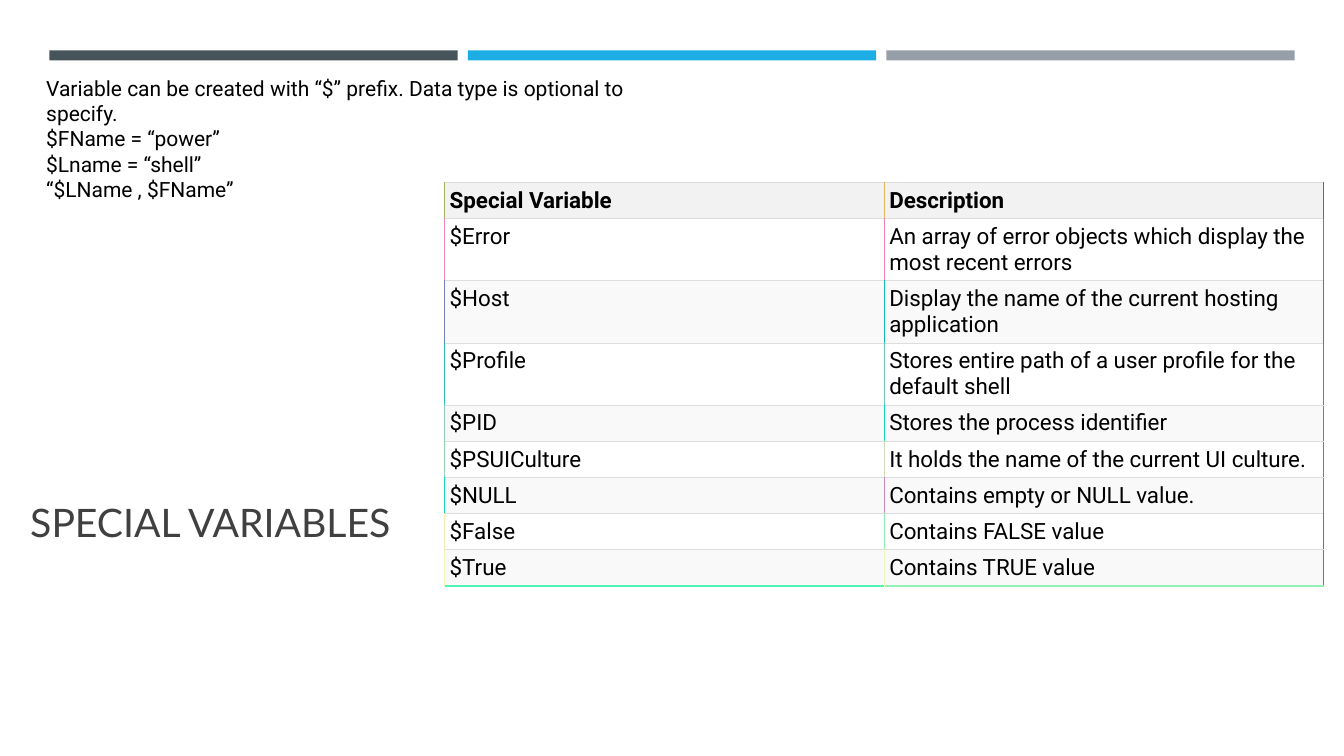
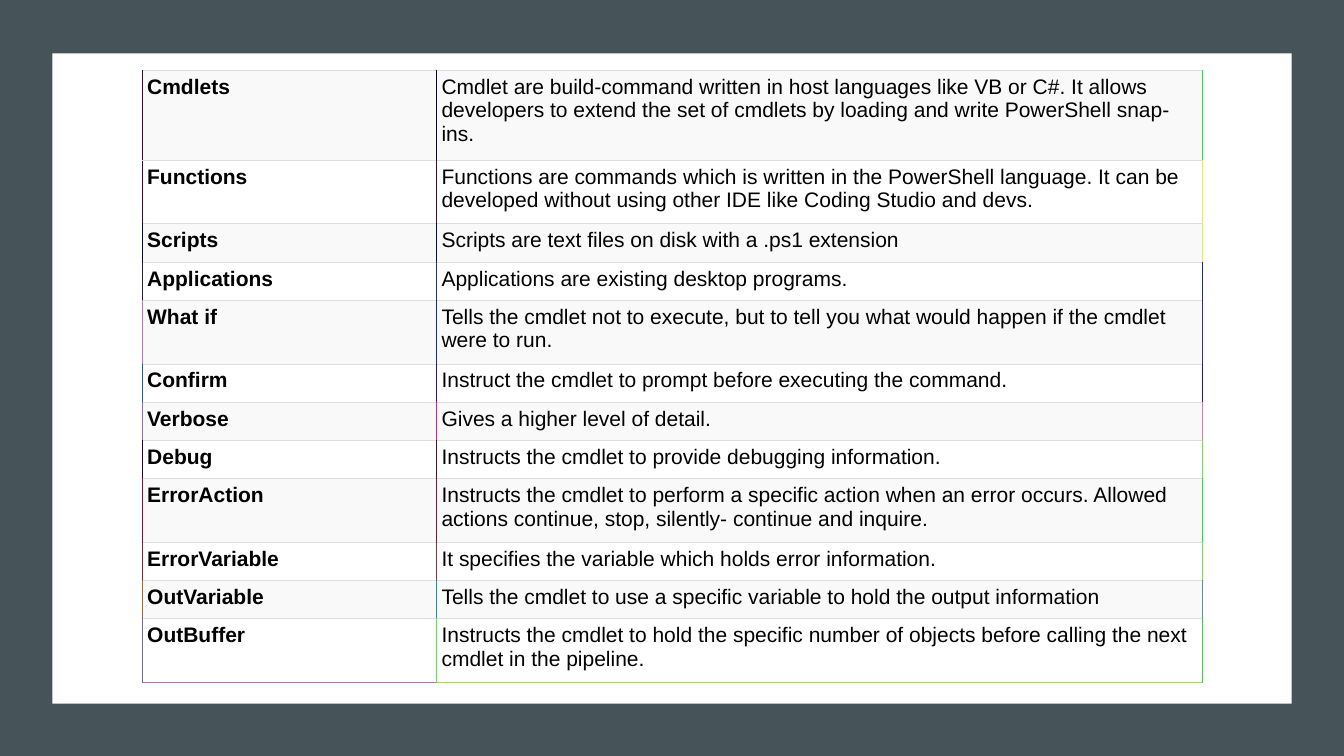
from dataclasses import dataclass

from lxml import etree
from pptx import Presentation
from pptx.dml.color import RGBColor
from pptx.enum.shapes import MSO_SHAPE
from pptx.enum.text import MSO_ANCHOR, MSO_AUTO_SIZE, PP_ALIGN
from pptx.oxml.ns import qn
from pptx.util import Inches, Pt

RECT = MSO_SHAPE.RECTANGLE
BOTTOM = MSO_ANCHOR.BOTTOM
LEFT = PP_ALIGN.LEFT
FIT_SHAPE = MSO_AUTO_SIZE.SHAPE_TO_FIT_TEXT
TITLE_ONLY, BLANK = 5, 6


@dataclass(frozen=True)
class Theme:
    slate: str = "465359"
    blue: str = "1CADE4"
    grey: str = "969FA7"
    white: str = "FFFFFF"
    text: str = "000000"
    title: str = "404040"
    header: str = "F2F2F2"
    band: str = "F9F9F9"
    rule: str = "DDDDDD"
    title_font: str = "Lato"
    code_font: str = "Roboto"
    table_font: str = "Arial"
    title_size: int = 28
    large_size: int = 16
    body_size: int = 15
    thin: float = 0.5
    thick: float = 1


THEME = Theme()

INTRO = [
    "Variable can be created with “$” prefix. Data type is optional to specify.",
    "$FName = “power”",
    "$Lname = “shell”",
    "“$LName , $FName”",
]

# Rows: name, description, then the colours of the left, middle and right edges
VARIABLES = [
    ("Special Variable", "Description", "A0B25C", "E0B75C", "3079B5"),
    ("$Error", "An array of error objects which display the most recent errors",
     "F084B5", "F07FB5", "5087B5"),
    ("$Host", "Display the name of the current hosting application",
     "7082B5", "10BBB5", "3087B5"),
    ("$Profile", "Stores entire path of a user profile for the default shell",
     "30C1B5", "70CDB5", "5087B5"),
    ("$PID", "Stores the process identifier", "90C9B5", "10D3B5", "5087B5"),
    ("$PSUICulture", "It holds the name of the current UI culture.",
     "90D3B5", "D0DAB5", "5087B5"),
    ("$NULL", "Contains empty or NULL value.", "10D9B5", "D08BB5", "5087B5"),
    ("$False", "Contains FALSE value", "F0EAB5", "90EBB5", "3088B5"),
    ("$True", "Contains TRUE value", "F0F4B5", "F0F4B5", "3088B5"),
]

COMMANDS = [
    ("Cmdlets", "Cmdlet are build-command written in host languages like VB or C#. "
     "It allows developers to extend the set of cmdlets by loading and write "
     "PowerShell snap-ins.", "400632", "000532", "00FA31"),
    ("Functions", "Functions are commands which is written in the PowerShell language. "
     "It can be developed without using other IDE like Coding Studio and devs.",
     "400632", "400632", "E0FA31"),
    ("Scripts", "Scripts are text files on disk with a .ps1 extension",
     "000F32", "000F32", "E0FA31"),
    ("Applications", "Applications are existing desktop programs.",
     "202432", "102FB4", "102AB4"),
    ("What if", "Tells the cmdlet not to execute, but to tell you what would happen "
     "if the cmdlet were to run.", "D06BB4", "1029B4", "3028B4"),
    ("Confirm", "Instruct the cmdlet to prompt before executing the command.",
     "1063B4", "300BB4", "300AB4"),
    ("Verbose", "Gives a higher level of detail.", "9068B4", "F008B4", "F06AB4"),
    ("Debug", "Instructs the cmdlet to provide debugging information.",
     "200732", "600632", "60F731"),
    ("ErrorAction", "Instructs the cmdlet to perform a specific action when an error "
     "occurs. Allowed actions continue, stop, silently- continue and inquire.",
     "A00332", "A00332", "00FA31"),
    ("ErrorVariable", "It specifies the variable which holds error information.",
     "A01332", "A02932", "60F731"),
    ("OutVariable", "Tells the cmdlet to use a specific variable to hold the output "
     "information", "B0681E", "1093A8", "5090A8"),
    ("OutBuffer", "Instructs the cmdlet to hold the specific number of objects before "
     "calling the next cmdlet in the pipeline.", "7062B4", "40F731", "20E131"),
]


def inches(box):
    return [Inches(v) for v in box]


def style(p, font, size, color, bold=False):
    p.alignment = LEFT
    p.font.name = font
    p.font.size = Pt(size)
    p.font.bold = bold
    p.font.color.rgb = RGBColor.from_string(color)


def add_panel(s, box, color):
    sp = s.shapes.add_shape(RECT, *inches(box))
    sp.shadow.inherit = False
    sp.fill.solid()
    sp.fill.fore_color.rgb = RGBColor.from_string(color)
    sp.line.fill.background()


def add_top_bars(s, box, gap=0.1):
    left, top, width, height = box
    colors = (THEME.slate, THEME.blue, THEME.grey)
    bar = (width - gap * (len(colors) - 1)) / len(colors)
    for i, color in enumerate(colors):
        add_panel(s, (left + i * (bar + gap), top, bar, height), color)


def place_title(s, box, text):
    sp = s.shapes.title
    sp.left, sp.top, sp.width, sp.height = inches(box)
    tf = sp.text_frame
    tf.text = text
    tf.vertical_anchor = BOTTOM
    style(tf.paragraphs[0], THEME.title_font, THEME.title_size, THEME.title)


def add_paragraphs(s, box, lines):
    tf = s.shapes.add_textbox(*inches(box)).text_frame
    tf.word_wrap = True
    tf.auto_size = FIT_SHAPE
    tf.text = "\n".join(lines)
    for p in tf.paragraphs:
        style(p, THEME.code_font, THEME.body_size, THEME.text)


def set_borders(cell, borders):
    """Draw (color, points) borders in the order left, right, top, bottom."""
    tcPr = cell._tc.get_or_add_tcPr()
    for i, (side, (color, points)) in enumerate(zip("LRTB", borders)):
        ln = etree.Element(qn(f"a:ln{side}"), w=str(Pt(points)))
        fill = etree.SubElement(ln, qn("a:solidFill"))
        etree.SubElement(fill, qn("a:srgbClr"), val=color)
        tcPr.insert(i, ln)


def add_definition_table(s, origin, widths, heights, rows, last_edges, font, size,
                         header=False):
    """Bold the header row if there is one, otherwise the name column."""
    box = (*origin, sum(widths), sum(heights))
    table = s.shapes.add_table(len(rows), len(widths), *inches(box)).table
    table.first_row = table.horz_banding = False
    for column, width in zip(table.columns, widths):
        column.width = Inches(width)
    rule = (THEME.rule, THEME.thin)
    for i, (*texts, left, middle, right) in enumerate(rows):
        table.rows[i].height = Inches(heights[i])
        is_header = header and i == 0
        inner = THEME.thin if is_header else THEME.thick
        edges = [(left, inner), (middle, inner), (right, THEME.thick)]
        fill = THEME.header if is_header else (THEME.white if i % 2 else THEME.band)
        for j, text in enumerate(texts):
            cell = table.cell(i, j)
            cell.margin_left = cell.margin_right = Inches(0.05)
            cell.margin_top = cell.margin_bottom = Inches(0.05)
            cell.fill.solid()
            cell.fill.fore_color.rgb = RGBColor.from_string(fill)
            cell.text = text
            bold = is_header if header else j == 0
            style(cell.text_frame.paragraphs[0], font, size, THEME.text, bold)
            is_last = i == len(rows) - 1
            bottom = (last_edges[j], THEME.thick) if is_last else rule
            set_borders(cell, (edges[j], edges[j + 1], rule, bottom))


def build_variables_slide(prs):
    s = prs.slides.add_slide(prs.slide_layouts[TITLE_ONLY])
    add_top_bars(s, (0.49, 0.5, 12.35, 0.1))
    place_title(s, (0.2, 4.16, 12.06, 1.3), "SPECIAL VARIABLES")
    add_definition_table(
        s, (4.41, 1.81), (4.36, 4.36), [0.35] + [0.61] * 3 + [0.35] * 5, VARIABLES,
        ("50F3B5", "90F3B5"), THEME.code_font, THEME.large_size, header=True)
    add_paragraphs(s, (0.36, 0.7, 6.46, 1.36), INTRO)


def build_commands_slide(prs):
    s = prs.slides.add_slide(prs.slide_layouts[BLANK])
    add_panel(s, (0, 0, 13.33, 7.5), THEME.slate)
    add_panel(s, (0.52, 0.53, 12.29, 6.45), THEME.white)
    line_heights = {1: 0.38, 2: 0.63, 3: 0.89}
    line_counts = (3, 2, 1, 1, 2, 1, 1, 1, 2, 1, 1, 2)
    add_definition_table(
        s, (1.41, 0.7), (2.92, 7.6), [line_heights[n] for n in line_counts], COMMANDS,
        ("D065B4", "A0E331"), THEME.table_font, THEME.body_size)


def main():
    prs = Presentation()
    prs.slide_width, prs.slide_height = Inches(13.33), Inches(7.5)
    build_variables_slide(prs)
    build_commands_slide(prs)
    prs.save("out.pptx")


if __name__ == "__main__":
    main()
